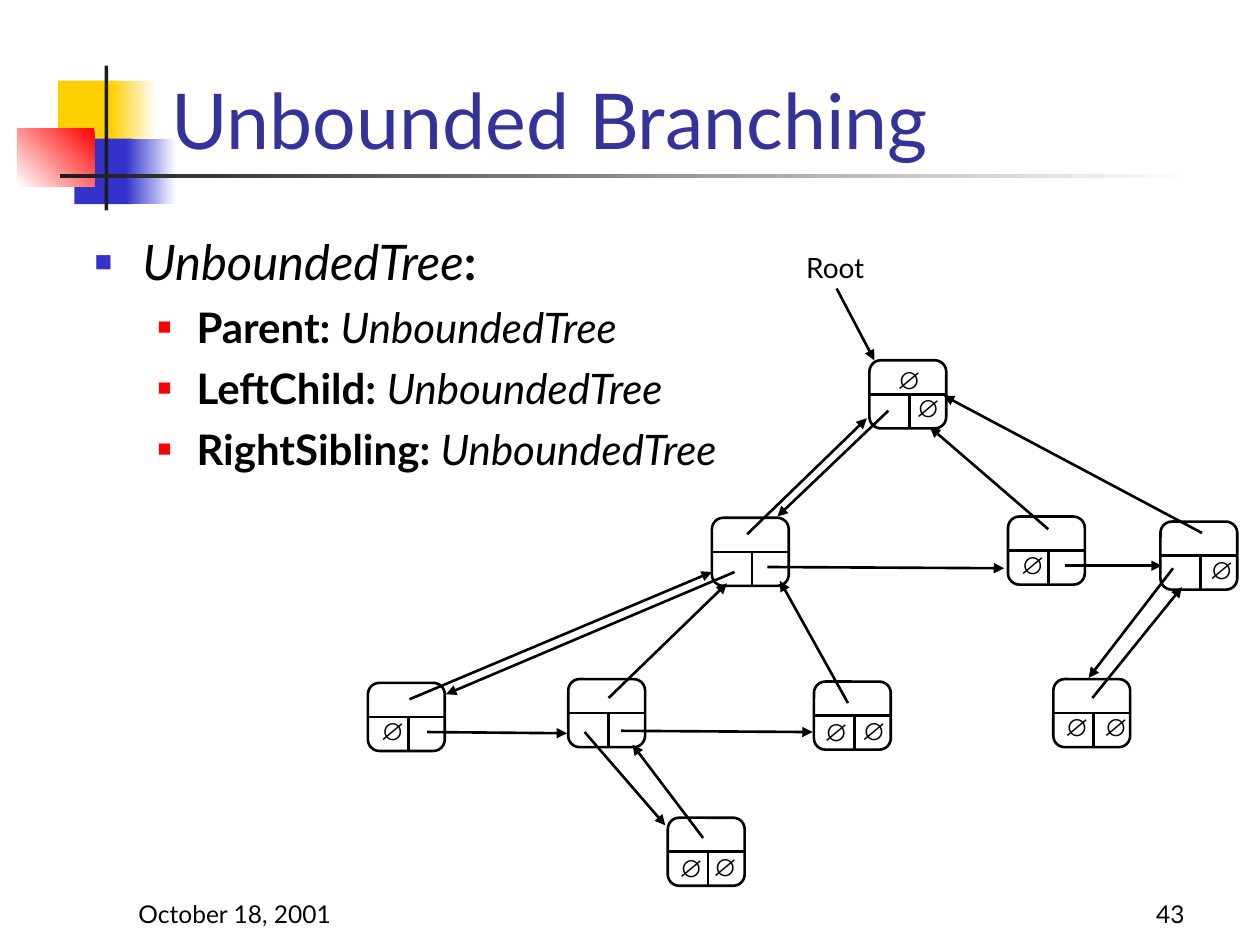
from lxml import etree
from pptx import Presentation
from pptx.dml.color import RGBColor
from pptx.enum.shapes import MSO_CONNECTOR, MSO_SHAPE
from pptx.enum.text import MSO_ANCHOR, MSO_AUTO_SIZE, PP_ALIGN
from pptx.oxml.ns import qn
from pptx.util import Inches, Pt

RECTANGLE = MSO_SHAPE.RECTANGLE
ROUNDED = MSO_SHAPE.ROUNDED_RECTANGLE
STRAIGHT = MSO_CONNECTOR.STRAIGHT
LEFT, RIGHT = PP_ALIGN.LEFT, PP_ALIGN.RIGHT
TOP, BOTTOM = MSO_ANCHOR.TOP, MSO_ANCHOR.BOTTOM
NO_AUTOFIT = MSO_AUTO_SIZE.NONE

FONT = "Lato"
SYMBOL_FONT = "Arial"
COLOURS = {
    "black": "000000",
    "white": "FFFFFF",
    "charcoal": "1C1C1C",
    "yellow": "FFCF01",
    "blue": "3333CC",
    "red": "FF0000",
    "title": "333399",
}

# left, top, width, height, colours from start to end, gradient angle
DECORATION = [
    (0.46, 0.64, 0.48, 0.52, ["yellow"], 0),
    (0.88, 0.64, 0.36, 0.52, ["white", "yellow"], 180),
    (0.59, 1.1, 0.46, 0.52, ["blue"], 0),
    (1, 1.1, 0.4, 0.52, ["white", "blue"], 180),
    (0.14, 1.02, 0.61, 0.46, ["red", "white"], 225),
    (0.83, 0.52, 0.03, 1.15, ["charcoal"], 0),
    (0.48, 1.38, 9, 0.03, ["white", "charcoal"], 180),
]

NODE_WIDTH, NODE_HEIGHT = 0.61, 0.54
NODES = [
    (6.9, 2.86),
    (5.65, 4.11), (8, 4.1), (9.21, 4.14),
    (2.92, 5.42), (4.51, 5.39), (6.46, 5.41), (8.36, 5.39),
    (5.3, 6.49),
]

ARROWS = [
    ((6.64, 2.29), (6.94, 2.86)),
    ((7.05, 3.26), (6.17, 4.1)),
    ((5.93, 4.24), (6.88, 3.32)),
    ((8.32, 4.2), (7.38, 3.39)),
    ((9.54, 4.23), (7.49, 3.14)),
    ((6.09, 4.5), (7.97, 4.51)),
    ((8.45, 4.49), (9.22, 4.49)),
    ((5.83, 4.54), (3.54, 5.51)),
    ((3.25, 5.55), (5.65, 4.54)),
    ((4.83, 5.54), (5.77, 4.63)),
    ((6.73, 5.58), (6.19, 4.61)),
    ((9.31, 4.51), (8.64, 5.38)),
    ((8.67, 5.54), (9.38, 4.66)),
    ((3.39, 5.81), (4.5, 5.82)),
    ((4.93, 5.8), (6.45, 5.81)),
    ((4.64, 5.81), (5.28, 6.55)),
    ((5.58, 6.65), (5.02, 5.91)),
]

EMPTY_LINKS = [
    (7.02, 2.85), (7.17, 3.07),
    (8, 4.32), (9.5, 4.36),
    (2.92, 5.63), (6.44, 5.64), (6.74, 5.63), (8.35, 5.6), (8.66, 5.6),
    (5.29, 6.72), (5.56, 6.71),
]

FIELDS = ["Parent: ", "LeftChild: ", "RightSibling: "]


def rgb(name):
    return RGBColor.from_string(COLOURS[name])


def add_run(paragraph, text, size, colour="black", font=FONT, bold=False, italic=False):
    run = paragraph.add_run()
    run.text = text
    run.font.name = font
    run.font.size = Pt(size)
    run.font.bold = bold
    run.font.italic = italic
    run.font.color.rgb = rgb(colour)


def place(shape, left, top, width, height):
    shape.left, shape.top = Inches(left), Inches(top)
    shape.width, shape.height = Inches(width), Inches(height)


def add_decoration(slide, left, top, width, height, colours, angle):
    shape = slide.shapes.add_shape(
        RECTANGLE, Inches(left), Inches(top), Inches(width), Inches(height))
    shape.shadow.inherit = False
    shape.line.fill.background()
    if len(colours) == 1:
        shape.fill.solid()
        shape.fill.fore_color.rgb = rgb(colours[0])
        return
    shape.fill.gradient()
    shape.fill.gradient_angle = angle
    for stop, colour in zip(shape.fill.gradient_stops, colours):
        stop.color.rgb = rgb(colour)


def add_line(shapes, start, end, arrow=False):
    line = shapes.add_connector(STRAIGHT, *map(Inches, start + end))
    line.line.color.rgb = rgb("black")
    line.line.width = Pt(1.5)
    if arrow:
        etree.SubElement(line.line._get_or_add_ln(), qn("a:tailEnd"), type="triangle")
    etree.SubElement(line.element.spPr, qn("a:effectLst"))


def add_node(slide, left, top):
    """Draw a parent cell above a left-child and a right-sibling cell."""
    shapes = slide.shapes.add_group_shape().shapes
    box = shapes.add_shape(ROUNDED, Inches(left), Inches(top),
                           Inches(NODE_WIDTH), Inches(NODE_HEIGHT))
    box.shadow.inherit = False
    box.fill.background()
    box.line.color.rgb = rgb("black")
    box.line.width = Pt(1.5)
    middle = top + NODE_HEIGHT / 2
    add_line(shapes, (left, middle), (left + NODE_WIDTH, middle))
    add_line(shapes, (left + 0.32, middle), (left + 0.32, top + NODE_HEIGHT))


def add_label(slide, text, left, top, width, height, size,
              font=FONT, bold=False, wrap=False, align=LEFT, anchor=TOP):
    box = slide.shapes.add_textbox(
        Inches(left), Inches(top), Inches(width), Inches(height))
    frame = box.text_frame
    frame.word_wrap = wrap
    frame.vertical_anchor = anchor
    paragraph = frame.paragraphs[0]
    paragraph.alignment = align
    add_run(paragraph, text, size, font=font, bold=bold)


def set_bullet(paragraph, margin, indent, colour, percent):
    properties = paragraph._p.get_or_add_pPr()
    properties.set("marL", str(Inches(margin)))
    properties.set("indent", str(Inches(indent)))
    bullet_colour = etree.SubElement(properties, qn("a:buClr"))
    etree.SubElement(bullet_colour, qn("a:srgbClr"), val=COLOURS[colour])
    etree.SubElement(properties, qn("a:buSzPct"), val=str(percent * 1000))
    etree.SubElement(properties, qn("a:buFont"), typeface=SYMBOL_FONT)
    etree.SubElement(properties, qn("a:buChar"), char="■")


def fill_title(title):
    place(title, 1.26, 0.11, 8.52, 1.25)
    frame = title.text_frame
    frame.auto_size = NO_AUTOFIT
    frame.vertical_anchor = BOTTOM
    frame.paragraphs[0].alignment = LEFT
    add_run(frame.paragraphs[0], "Unbounded Branching", 44, "title")


def fill_body(body):
    place(body, 0.65, 1.79, 9.14, 2.39)
    frame = body.text_frame
    frame.auto_size = NO_AUTOFIT
    heading = frame.paragraphs[0]
    heading.space_before = Pt(7)
    set_bullet(heading, 0.38, -0.38, "blue", 60)
    add_run(heading, "UnboundedTree", 28, italic=True)
    add_run(heading, ":", 28, bold=True)
    for field in FIELDS:
        paragraph = frame.add_paragraph()
        paragraph.level = 1
        paragraph.space_before = Pt(6)
        set_bullet(paragraph, 0.81, -0.31, "red", 55)
        add_run(paragraph, field, 24, bold=True)
        add_run(paragraph, "UnboundedTree", 24, italic=True)


def main():
    presentation = Presentation()
    presentation.slide_width, presentation.slide_height = Inches(10), Inches(7.5)
    slide = presentation.slides.add_slide(presentation.slide_layouts[1])
    title, body = slide.placeholders
    for decoration in DECORATION:
        add_decoration(slide, *decoration)
    for placeholder in (title, body):  # text goes in front of the decoration
        placeholder.element.getparent().append(placeholder.element)
    fill_title(title)
    fill_body(body)
    for node in NODES:
        add_node(slide, *node)
    for start, end in ARROWS:
        add_line(slide.shapes, start, end, arrow=True)
    for left, top in EMPTY_LINKS:
        add_label(slide, "∅", left, top, 0.35, 0.34, 14, font=SYMBOL_FONT, bold=True)
    add_label(slide, "Root", 6.3, 1.94, 0.68, 0.37, 16)
    add_label(slide, "43", 7.42, 6.92, 2.08, 0.5, 14, wrap=True, align=RIGHT, anchor=BOTTOM)
    add_label(slide, "October 18, 2001", 1, 6.92, 2.08, 0.5, 14, wrap=True, anchor=BOTTOM)
    presentation.save("out.pptx")


if __name__ == "__main__":
    main()
